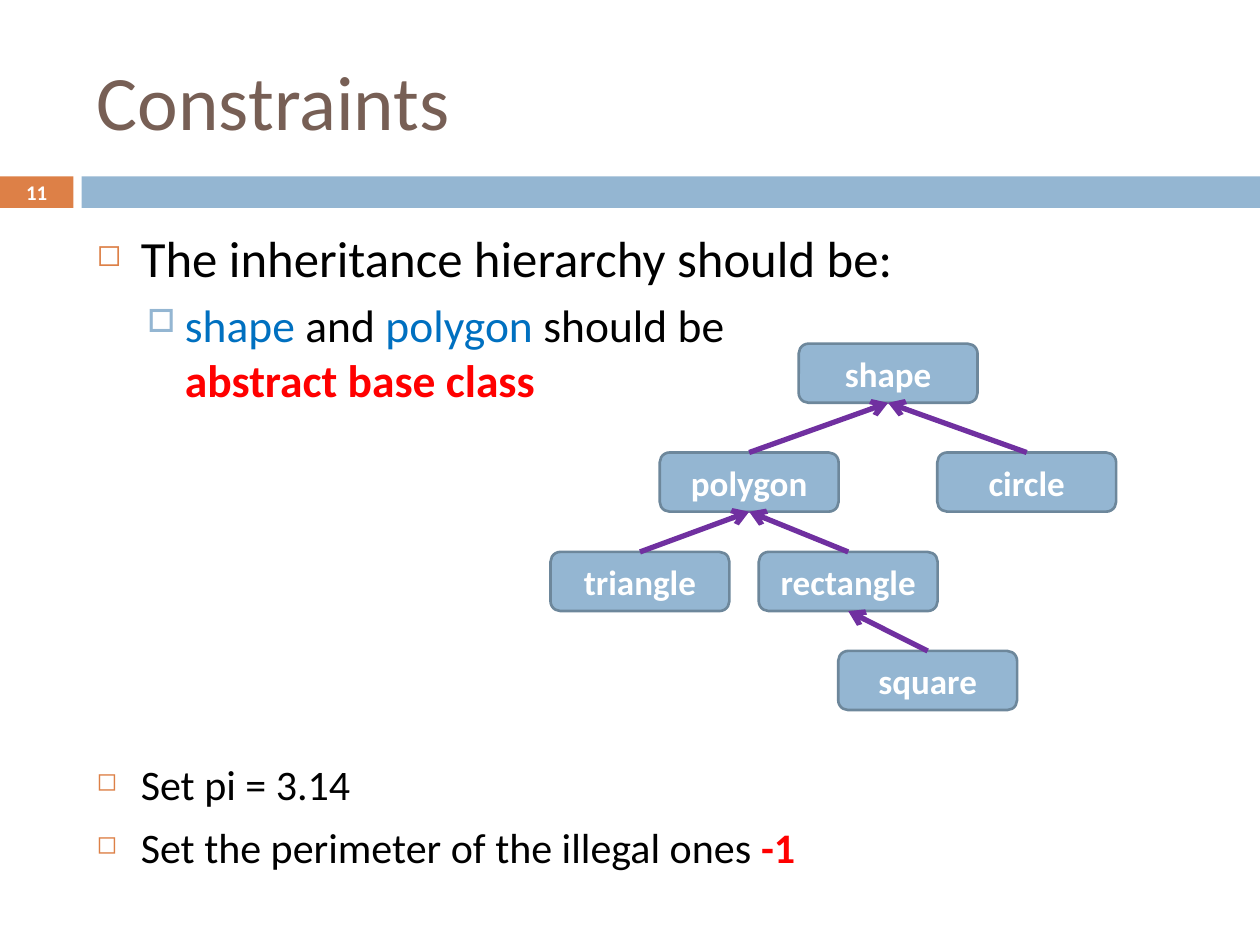
from dataclasses import dataclass

from lxml.etree import SubElement
from pptx import Presentation
from pptx.dml.color import RGBColor
from pptx.enum.shapes import MSO_CONNECTOR, MSO_SHAPE
from pptx.enum.text import MSO_ANCHOR, PP_ALIGN
from pptx.oxml.ns import qn
from pptx.util import Pt

FONT = "Calibri"
BLUE, ORANGE, BROWN = "94B6D2", "DD8047", "775F55"
BLACK, WHITE, RED, LINK_BLUE, PURPLE = "000000", "FFFFFF", "FF0000", "0070C0", "7030A0"
NODE_WIDTH, NODE_HEIGHT = 102.2, 33.8


@dataclass
class Span:
    text: str
    color: str = BLACK
    bold: bool = False


@dataclass
class Bullet:
    size: float
    spans: list[Span]
    level: int = 0


@dataclass
class Node:
    name: str
    left: float
    top: float
    parent: str = ""


@dataclass
class BulletStyle:
    indent: float
    hanging: float
    before: float
    mark: str
    color: str
    percent: int


STYLES = [
    BulletStyle(25.2, 25.2, 7, "\u25fb", ORANGE, 60),
    BulletStyle(50.4, 21.6, 5.5, "\u25a1", BLUE, 70),
]
HIERARCHY = [
    Bullet(29, [Span("The inheritance hierarchy should be:")]),
    Bullet(26, [Span("shape", LINK_BLUE), Span(" and "), Span("polygon", LINK_BLUE),
                Span(" should be \n"), Span("abstract base class", RED, True)], 1),
]
VALUES = [
    Bullet(24, [Span("Set pi = 3.14")]),
    Bullet(24, [Span("Set the perimeter of the illegal ones "), Span("-1", RED, True)]),
]
NODES = [
    Node("shape", 456.4, 196.4),
    Node("polygon", 377, 258.6, "shape"),
    Node("circle", 535.6, 258.6, "shape"),
    Node("triangle", 314.6, 315.4, "polygon"),
    Node("rectangle", 433.6, 315.4, "polygon"),
    Node("square", 479, 372, "rectangle"),
]


def rgb(color: str) -> RGBColor:
    return RGBColor.from_string(color)


def set_font(font, size: float, color: str, bold: bool = False) -> None:
    font.name, font.size, font.bold = FONT, Pt(size), bold
    font.color.rgb = rgb(color)


def add_box(left: float, top: float, width: float, height: float, fill: str,
            kind=MSO_SHAPE.RECTANGLE, line: str = ""):
    box = page.shapes.add_shape(kind, Pt(left), Pt(top), Pt(width), Pt(height))
    box.shadow.inherit = False
    box.fill.solid()
    box.fill.fore_color.rgb = rgb(fill)
    if line:
        box.line.color.rgb = rgb(line)
        box.line.width = Pt(1.5)
    else:
        box.line.fill.background()
    return box


def add_label(box, text: str, size: float) -> None:
    frame = box.text_frame
    frame.margin_left = frame.margin_right = 0
    frame.vertical_anchor = MSO_ANCHOR.MIDDLE
    para = frame.paragraphs[0]
    para.text, para.alignment = text, PP_ALIGN.CENTER
    set_font(para.font, size, WHITE, True)


def add_mark(para, style: BulletStyle) -> None:
    props = para._p.get_or_add_pPr()
    props.set("marL", str(Pt(style.indent)))
    props.set("indent", str(-Pt(style.hanging)))
    SubElement(SubElement(props, qn("a:buClr")), qn("a:srgbClr"), val=style.color)
    SubElement(props, qn("a:buSzPct"), val=str(style.percent * 1000))
    SubElement(props, qn("a:buChar"), char=style.mark)


def add_bullets(top: float, height: float, bullets: list[Bullet]) -> None:
    box = page.shapes.add_textbox(Pt(48.2), Pt(top), Pt(642.2), Pt(height))
    frame = box.text_frame
    frame.word_wrap = True
    for index, bullet in enumerate(bullets):
        para = frame.add_paragraph() if index else frame.paragraphs[0]
        style = STYLES[bullet.level]
        para.level = bullet.level
        para.space_before = Pt(style.before)
        add_mark(para, style)
        para.font.name, para.font.size = FONT, Pt(bullet.size)
        for span in bullet.spans:
            run = para.add_run()
            run.text = span.text.rstrip("\n")
            run.font.bold = span.bold
            run.font.color.rgb = rgb(span.color)
            if span.text.endswith("\n"):
                para.add_line_break()


def add_arrow(child: Node, parent: Node) -> None:
    half = NODE_WIDTH / 2
    arrow = page.shapes.add_connector(
        MSO_CONNECTOR.STRAIGHT, Pt(child.left + half), Pt(child.top),
        Pt(parent.left + half), Pt(parent.top + NODE_HEIGHT))
    arrow.line.color.rgb = rgb(PURPLE)
    arrow.line.width = Pt(3)
    SubElement(arrow.line._get_or_add_ln(), qn("a:tailEnd"), type="arrow")
    SubElement(arrow._element.spPr, qn("a:effectLst"))


deck = Presentation()
deck.slide_width, deck.slide_height = Pt(720), Pt(540)
page = deck.slides.add_slide(deck.slide_layouts[5])

# Title
title = page.shapes.title
title.left, title.top, title.width, title.height = Pt(48.2), Pt(18), Pt(642.2), Pt(77.8)
title.text_frame.vertical_anchor = MSO_ANCHOR.MIDDLE
heading = title.text_frame.paragraphs[0]
heading.text, heading.alignment = "Constraints", PP_ALIGN.LEFT
set_font(heading.font, 44, BROWN)

# Band with the page number
add_label(add_box(0, 100.8, 42, 18, ORANGE), "11", 11.9)
add_box(46.6, 100.8, 673.4, 18, BLUE)

# Bulleted text
add_bullets(126, 110, HIERARCHY)
add_bullets(430, 75, VALUES)

# Inheritance tree
for node in NODES:
    node_box = add_box(node.left, node.top, NODE_WIDTH, NODE_HEIGHT, BLUE,
                       MSO_SHAPE.ROUNDED_RECTANGLE, "6D879B")
    add_label(node_box, node.name, 20)
by_name = {node.name: node for node in NODES}
for node in NODES:
    if node.parent:
        add_arrow(node, by_name[node.parent])

deck.save("out.pptx")
